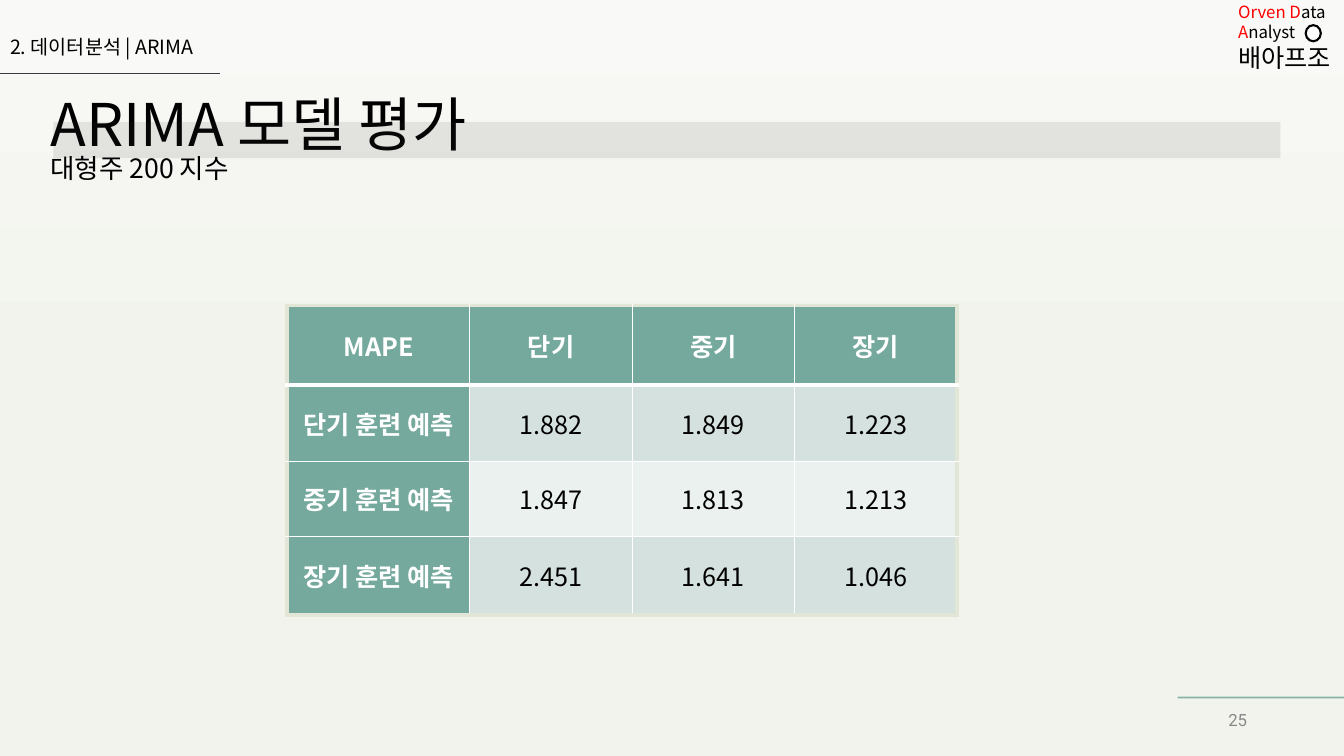
import copy
import pptx
import pptx.util
import pptx.dml.color
import pptx.enum.shapes
import pptx.enum.text
import pptx.oxml
import pptx.oxml.ns

Inches, Pt = pptx.util.Inches, pptx.util.Pt
RGBColor = pptx.dml.color.RGBColor
SHAPE = pptx.enum.shapes.MSO_SHAPE
ALIGN = pptx.enum.text.PP_ALIGN
MIDDLE = pptx.enum.text.MSO_ANCHOR.MIDDLE
TOP = pptx.enum.text.MSO_ANCHOR.TOP
qn = pptx.oxml.ns.qn

BLACK = RGBColor(0x00, 0x00, 0x00)
WHITE = RGBColor(0xFF, 0xFF, 0xFF)
RED = RGBColor(0xFF, 0x00, 0x00)
GRAY = RGBColor(0x88, 0x88, 0x88)
CHARCOAL = RGBColor(0x3A, 0x38, 0x38)
TEAL = RGBColor(0x75, 0xA9, 0x9E)
BAND_DARK = RGBColor(0xD5, 0xE1, 0xDE)
BAND_LIGHT = RGBColor(0xEB, 0xF1, 0xEF)
FRAME = RGBColor(0xE1, 0xE6, 0xD7)
BACKDROP = [
    (0, RGBColor(0xF9, 0xFA, 0xF7)),
    (0.5, RGBColor(0xF1, 0xF3, 0xEC)),
    (1, RGBColor(0xEF, 0xF2, 0xEA)),
]
KOREAN = "Noto Sans CJK KR"

TEAM = [
    (12, [("Orven D", RED), ("ata ", BLACK), ("A", RED), ("nalyst", BLACK)]),
    (18, [("배아프조", BLACK)]),
]
SECTION = [("2. 데이터분석 | ARIMA", 14)]
HEADING = [("ARIMA 모델 평가", 42), ("대형주 200 지수", 19)]
PAGE = [("25", 12)]
MAPE = [
    ["MAPE", "단기", "중기", "장기"],
    ["단기 훈련 예측", "1.882", "1.849", "1.223"],
    ["중기 훈련 예측", "1.847", "1.813", "1.213"],
    ["장기 훈련 예측", "2.451", "1.641", "1.046"],
]
MAPE_WIDTHS = [1.81, 1.61, 1.61, 1.61]
MAPE_HEIGHTS = [0.79, 0.76, 0.74, 0.78]


def style(font, size, color, name=KOREAN, bold=False):
    font.size = Pt(size)
    font.bold = bold
    font.color.rgb = color
    font.name = name
    east_asian = copy.deepcopy(font._element.find(qn("a:latin")))
    east_asian.tag = qn("a:ea")
    font._element.find(qn("a:latin")).addnext(east_asian)


def set_alpha(holder, percent):
    color = holder.find(".//" + qn("a:srgbClr"))
    alpha = color.makeelement(qn("a:alpha"), {"val": str(percent * 1000)})
    color.append(alpha)


def add_box(slide, left, top, width, height, anchor=MIDDLE, wrap=True):
    frame = slide.shapes.add_textbox(
        Inches(left), Inches(top), Inches(width), Inches(height)).text_frame
    frame.word_wrap = wrap
    frame.vertical_anchor = anchor
    frame.margin_left = frame.margin_right = Inches(0.05)
    frame.margin_top = frame.margin_bottom = Inches(0.05)
    return frame


def paragraphs(frame, count):
    return [frame.paragraphs[0]] + [frame.add_paragraph() for _ in range(count - 1)]


def write(frame, lines, color=BLACK, name=KOREAN, align=ALIGN.LEFT, spacing=None):
    for paragraph, (text, size) in zip(paragraphs(frame, len(lines)), lines):
        paragraph.text = text
        paragraph.alignment = align
        paragraph.line_spacing = spacing
        style(paragraph.font, size, color, name)


def add_rule(slide, x1, y1, x2, y2, color, width):
    rule = slide.shapes.add_connector(
        pptx.enum.shapes.MSO_CONNECTOR.STRAIGHT,
        Inches(x1), Inches(y1), Inches(x2), Inches(y2))
    rule.line.color.rgb = color
    rule.line.width = Pt(width)
    properties = rule._element.spPr
    properties.append(properties.makeelement(qn("a:effectLst"), {}))
    return rule


def set_borders(cell, edges):
    properties = cell._tc.get_or_add_tcPr()
    for index, (side, (color, width)) in enumerate(edges.items()):
        properties.insert(index, pptx.oxml.parse_xml(
            f'<a:ln{side} {pptx.oxml.ns.nsdecls("a")} w="{Pt(width)}">'
            f'<a:solidFill><a:srgbClr val="{color}"/></a:solidFill></a:ln{side}>'))


def paint_background(slide):
    fill = slide.background.fill
    fill.gradient()
    fill.gradient_angle = 270
    stops = slide._element.find(".//" + qn("a:gsLst"))
    stops.append(copy.deepcopy(stops[0]))
    for stop, (position, color) in zip(fill.gradient_stops, BACKDROP):
        stop.position = position
        stop.color.rgb = color


def add_team(slide):
    frame = add_box(slide, 12.23, -0.03, 1.06, 0.78, anchor=TOP)
    for paragraph, (size, parts) in zip(paragraphs(frame, len(TEAM)), TEAM):
        for text, color in parts:
            run = paragraph.add_run()
            run.text = text
            style(run.font, size, color)
    emblem = slide.shapes.add_shape(
        SHAPE.OVAL, Inches(12.95), Inches(0.25), Inches(0.15), Inches(0.16))
    emblem.shadow.inherit = False
    emblem.fill.solid()
    emblem.fill.fore_color.rgb = WHITE
    emblem.line.color.rgb = BLACK
    emblem.line.width = Pt(1.5)


def add_mape(slide):
    rows, columns = len(MAPE), len(MAPE[0])
    table = slide.shapes.add_table(
        rows, columns, Inches(2.85), Inches(3.03),
        Inches(sum(MAPE_WIDTHS)), Inches(sum(MAPE_HEIGHTS))).table
    for column, width in zip(table.columns, MAPE_WIDTHS):
        column.width = Inches(width)
    for row, height in zip(table.rows, MAPE_HEIGHTS):
        row.height = Inches(height)
    frame_edge, grid_edge, header_edge = (FRAME, 3), (WHITE, 1), (WHITE, 3)
    for r, values in enumerate(MAPE):
        for c, value in enumerate(values):
            cell = table.cell(r, c)
            label = r == 0 or c == 0
            cell.margin_left = cell.margin_right = 0
            cell.margin_top = cell.margin_bottom = 0
            cell.vertical_anchor = MIDDLE
            cell.fill.solid()
            cell.fill.fore_color.rgb = (
                TEAL if label else BAND_DARK if r % 2 else BAND_LIGHT)
            paragraph = cell.text_frame.paragraphs[0]
            paragraph.text = value
            paragraph.alignment = ALIGN.CENTER
            style(paragraph.font, 18, WHITE if label else BLACK, bold=label)
            bottom = header_edge if r == 0 else grid_edge
            top = header_edge if r == 1 and c > 0 else grid_edge
            set_borders(cell, {
                "L": frame_edge if c == 0 else grid_edge,
                "R": frame_edge if c == columns - 1 else grid_edge,
                "T": frame_edge if r == 0 else top,
                "B": frame_edge if r == rows - 1 else bottom,
            })


def main():
    deck = pptx.Presentation()
    deck.slide_width, deck.slide_height = Inches(13.33), Inches(7.5)
    slide = deck.slides.add_slide(deck.slide_layouts[6])
    paint_background(slide)
    add_team(slide)

    write(add_box(slide, 12.12, 7, 0.3, 0.29, wrap=False), PAGE,
          GRAY, "Roboto", ALIGN.RIGHT)
    page_rule = add_rule(slide, 11.68, 6.92, 13.33, 6.92, TEAL, 1.25)
    set_alpha(page_rule._element.spPr, 85)

    write(add_box(slide, 0.05, 0.22, 2.26, 0.51), SECTION, spacing=0.9)
    add_rule(slide, 0, 0.73, 2.18, 0.73, CHARCOAL, 0.5)

    write(add_box(slide, 0.45, 0.87, 11.4, 1.09), HEADING, spacing=0.81)
    band = slide.shapes.add_shape(
        SHAPE.RECTANGLE, Inches(0.53), Inches(1.21), Inches(12.17), Inches(0.36))
    band.shadow.inherit = False
    band.fill.solid()
    band.fill.fore_color.rgb = CHARCOAL
    band.line.fill.background()
    set_alpha(band._element.spPr, 11)

    add_mape(slide)
    deck.save("out.pptx")


if __name__ == "__main__":
    main()
